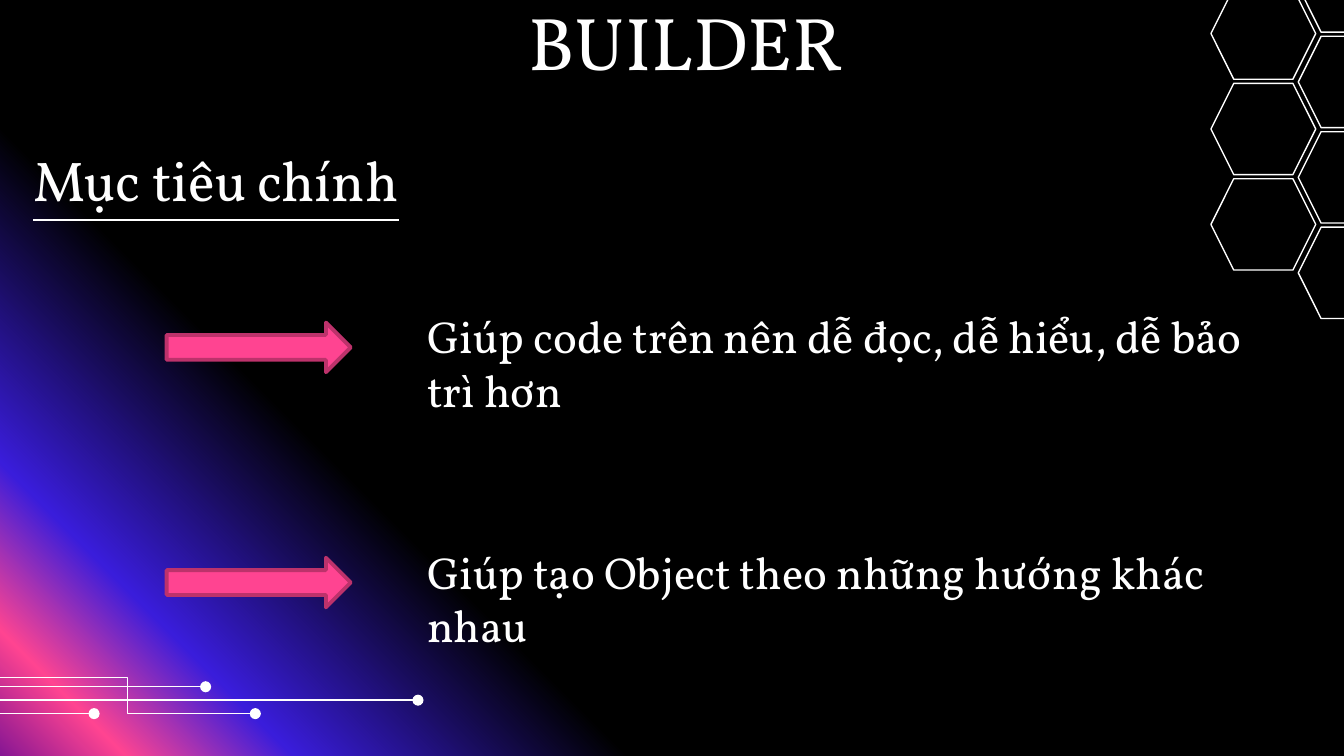
from lxml import etree
from pptx import Presentation
from pptx import util as u
from pptx.dml.color import RGBColor
from pptx.enum import shapes, text
from pptx.oxml.ns import qn

WIDTH = 10
HEIGHT = WIDTH * 9 / 16
FONT = "Vollkorn"
WHITE, PINK, DARK_PINK = "FFFFFF", "FF4491", "BD326B"
GLOW = [(0, "861693"), (6, PINK), (14, "3A1DDB"), (30, "000000"), (100, "000000")]

HEX_SIZE = (0.78, 0.68)
HEX_COLUMNS = [(9.01, -0.09, 3), (9.66, -0.44, 4)]  # left, top, count
HEX_STEP = 0.71

GOALS_TOP, GOAL_STEP = 2.25, 1.75
GOALS = [
    "Giúp code trên nên dễ đọc, dễ hiểu, dễ bảo trì hơn",
    "Giúp tạo Object theo những hướng khác nhau",
]

STRAIGHT, ELBOW = shapes.MSO_CONNECTOR.STRAIGHT, shapes.MSO_CONNECTOR.ELBOW
CIRCUIT = [  # kind, start height, end x, end height
    (STRAIGHT, 5.21, 3.11, 5.21),
    (ELBOW, 5.04, 1.9, 5.31),
    (STRAIGHT, 5.11, 1.53, 5.11),
    (STRAIGHT, 5.31, 0.7, 5.31),
]


def colour(hex_code):
    return RGBColor.from_string(hex_code)


def inches(*lengths):
    return [u.Inches(length) for length in lengths]


def add_glow(page):
    """Fill the background with rings spreading from the bottom left corner."""
    page.background.fill.gradient()
    gradient = next(page.element.iter(qn("a:gradFill")))
    for child in list(gradient):
        gradient.remove(child)
    stops = etree.SubElement(gradient, qn("a:gsLst"))
    for percent, hex_code in GLOW:
        stop = etree.SubElement(stops, qn("a:gs"), pos=str(percent * 1000))
        etree.SubElement(stop, qn("a:srgbClr"), val=hex_code)
    rings = etree.SubElement(gradient, qn("a:path"), path="circle")
    etree.SubElement(rings, qn("a:fillToRect"), t="100000", r="100000")


def add_outlined(page, kind, frame, line, weight, fill=None):
    shape = page.shapes.add_shape(kind, *inches(*frame))
    shape.shadow.inherit = False
    if fill:
        shape.fill.solid()
        shape.fill.fore_color.rgb = colour(fill)
    else:
        shape.fill.background()
    shape.line.color.rgb = colour(line)
    shape.line.width = u.Pt(weight)


def add_circuit_line(page, kind, start_y, end_x, end_y):
    """Draw a line from the left edge that ends in a dot."""
    wire = page.shapes.add_connector(kind, *inches(0, start_y, end_x, end_y))
    wire.line.color.rgb = colour(WHITE)
    wire.line.width = u.Pt(0.75)
    properties = wire.element.spPr
    etree.SubElement(properties.find(qn("a:ln")), qn("a:tailEnd"), type="oval")
    etree.SubElement(properties, qn("a:effectLst"))


def add_text(page, words, frame, size, inset=0.1, align=text.PP_ALIGN.LEFT,
             underline=None, grow=False):
    box = page.shapes.add_textbox(*inches(*frame)).text_frame
    box.word_wrap = True
    box.margin_top = box.margin_bottom = u.Inches(inset)
    if grow:
        box.auto_size = text.MSO_AUTO_SIZE.SHAPE_TO_FIT_TEXT
    para = box.paragraphs[0]
    para.alignment = align
    span = para.add_run()
    span.text = words
    span.font.name = FONT
    span.font.size = u.Pt(size)
    span.font.underline = underline
    span.font.color.rgb = colour(WHITE)


def add_goal(page, row, words):
    top = GOALS_TOP + row * GOAL_STEP
    add_text(page, words, (3.08, top, 6.56, 0.91), 24, inset=0.05, grow=True)
    add_outlined(page, shapes.MSO_SHAPE.RIGHT_ARROW, (1.24, top + 0.15, 1.37, 0.37),
                 DARK_PINK, 2, PINK)


def main():
    deck = Presentation()
    deck.slide_width, deck.slide_height = inches(WIDTH, HEIGHT)
    page = deck.slides.add_slide(deck.slide_layouts[6])

    add_glow(page)
    for left, top, count in HEX_COLUMNS:
        for row in range(count):
            add_outlined(page, shapes.MSO_SHAPE.HEXAGON,
                         (left, top + row * HEX_STEP, *HEX_SIZE), WHITE, 0.75)
    for wire in CIRCUIT:
        add_circuit_line(page, *wire)

    add_text(page, "Mục tiêu chính", (0.15, 0.98, 4.41, 0.83), 30, underline=True)
    add_text(page, "BUILDER", (0.89, -0.13, 8.43, 0.63), 40,
             align=text.PP_ALIGN.CENTER)
    for row, words in enumerate(GOALS):
        add_goal(page, row, words)

    deck.save("out.pptx")


if __name__ == "__main__":
    main()
